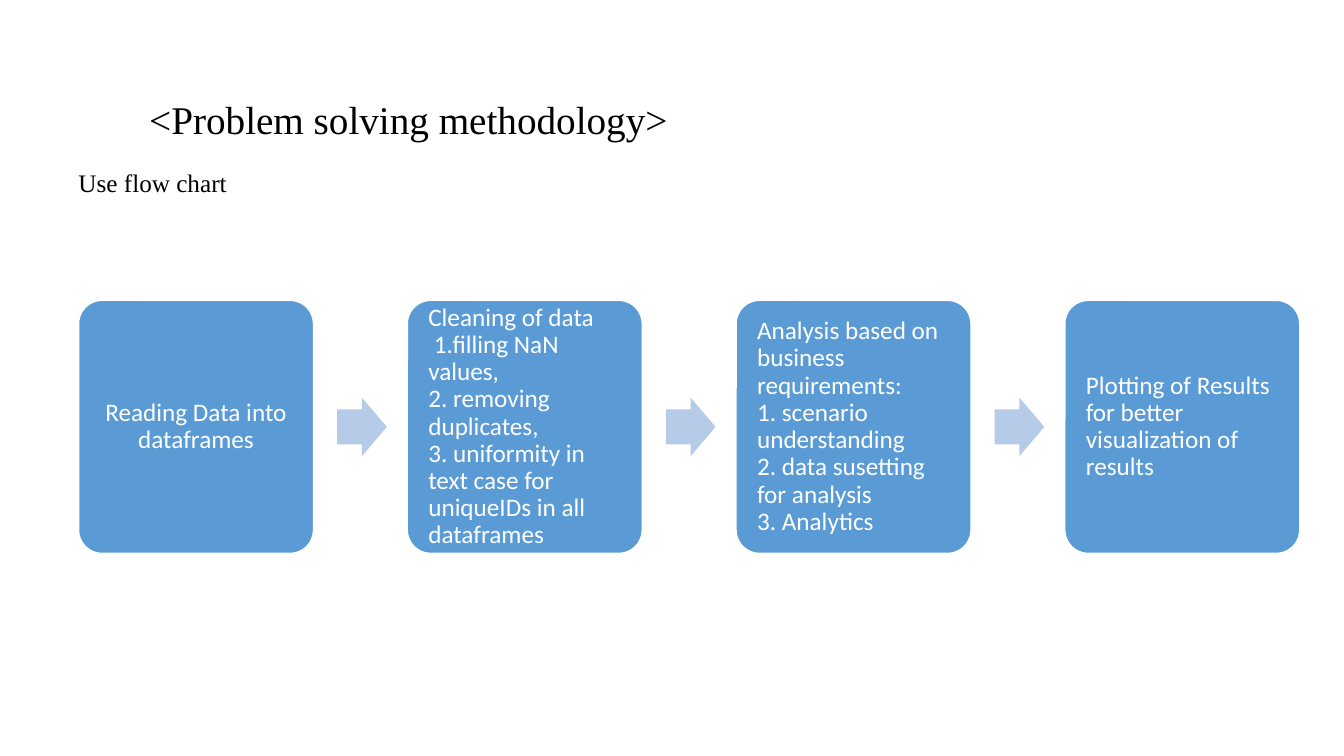
from pptx import Presentation
from pptx.dml.color import RGBColor
from pptx.enum.shapes import MSO_SHAPE
from pptx.enum.text import MSO_ANCHOR, PP_ALIGN
from pptx.util import Inches, Pt

ROUNDED, ARROW = MSO_SHAPE.ROUNDED_RECTANGLE, MSO_SHAPE.RIGHT_ARROW
TOP, MIDDLE = MSO_ANCHOR.TOP, MSO_ANCHOR.MIDDLE
LEFT, CENTER = PP_ALIGN.LEFT, PP_ALIGN.CENTER
COLORS = {"text": "000000", "step": "5B9BD5", "arrow": "B5CBE7", "white": "FFFFFF"}
HEADING_FONT, STEP_FONT = "Times New Roman", "Calibri"

STEPS = [
    ("Reading Data into dataframes", CENTER),
    ("Cleaning of data\n 1.filling NaN values,\n2. removing duplicates,\n"
     "3. uniformity in text case for uniqueIDs in all dataframes", LEFT),
    ("Analysis based on business requirements:\n1. scenario understanding\n"
     "2. data susetting for analysis\n3. Analytics", LEFT),
    ("Plotting of Results for better visualization of results", LEFT),
]
# Percent of the slide's width or height
STEP_LEFT, STEP_PITCH, STEP_WIDTH = 5.85, 24.46, 17.48
STEP_TOP, STEP_HEIGHT = 39.73, 33.47
ARROW_OFFSET, ARROW_WIDTH, ARROW_HEIGHT = 19.23, 3.7, 7.73


def color(name):
    """Return the named colour."""
    return RGBColor.from_string(COLORS[name])


def write(box, text, size=18, font=HEADING_FONT, ink="text", align=LEFT,
          anchor=TOP, inset=(0.1, 0.05)):
    """Fill a box with one formatted paragraph; inset is (sides, ends) in inches."""
    frame = box.text_frame
    frame.word_wrap = True
    frame.vertical_anchor = anchor
    frame.margin_left = frame.margin_right = Inches(inset[0])
    frame.margin_top = frame.margin_bottom = Inches(inset[1])
    para = frame.paragraphs[0]
    para.text = text.replace("\n", "\v")
    para.alignment, para.line_spacing = align, 0.9
    for span in para.runs:
        span.font.size, span.font.name = Pt(size), font
        span.font.color.rgb = color(ink)


class Page:
    """A slide whose lengths are percentages of its size."""

    def __init__(self, deck):
        """Add a blank slide to the deck."""
        self.deck = deck
        self.shapes = deck.slides.add_slide(deck.slide_layouts[6]).shapes

    def place(self, left, top, width, height):
        """Turn percentages into slide lengths."""
        across, down = self.deck.slide_width / 100, self.deck.slide_height / 100
        return (int(left * across), int(top * down),
                int(width * across), int(height * down))

    def label(self, text, *area, **style):
        """Add a text box."""
        write(self.shapes.add_textbox(*self.place(*area)), text, **style)

    def block(self, kind, fill, adjustments, *area, outline=None):
        """Add a filled preset shape."""
        box = self.shapes.add_shape(kind, *self.place(*area))
        box.shadow.inherit = False
        box.fill.solid()
        box.fill.fore_color.rgb = color(fill)
        for index, value in enumerate(adjustments):
            box.adjustments[index] = value
        if outline:
            box.line.color.rgb = color(outline)
            box.line.width = Pt(1)
        else:
            box.line.fill.background()
        return box

    def step(self, index, text, align):
        """Add one step of the flow chart, with an arrow before all but the first."""
        left = STEP_LEFT + index * STEP_PITCH
        if index:
            top = STEP_TOP + (STEP_HEIGHT - ARROW_HEIGHT) / 2
            self.block(ARROW, "arrow", [0.6, 0.5], left - STEP_PITCH + ARROW_OFFSET,
                       top, ARROW_WIDTH, ARROW_HEIGHT)
        box = self.block(ROUNDED, "step", [0.1], left, STEP_TOP, STEP_WIDTH,
                         STEP_HEIGHT, outline="white")
        write(box, text, font=STEP_FONT, ink="white", align=align,
              anchor=MIDDLE, inset=(0.14, 0.14))


deck = Presentation()
deck.slide_width, deck.slide_height = Inches(13.33), Inches(7.5)
page = Page(deck)
page.label("<Problem solving methodology>", 9.3, 9.87, 76.44, 12.53,
           size=28, anchor=MIDDLE, inset=(0.24, 0.05))
page.label("Use flow chart", 5.1, 21.87, 91.6, 18.4)
for index, (text, align) in enumerate(STEPS):
    page.step(index, text, align)
deck.save("out.pptx")
